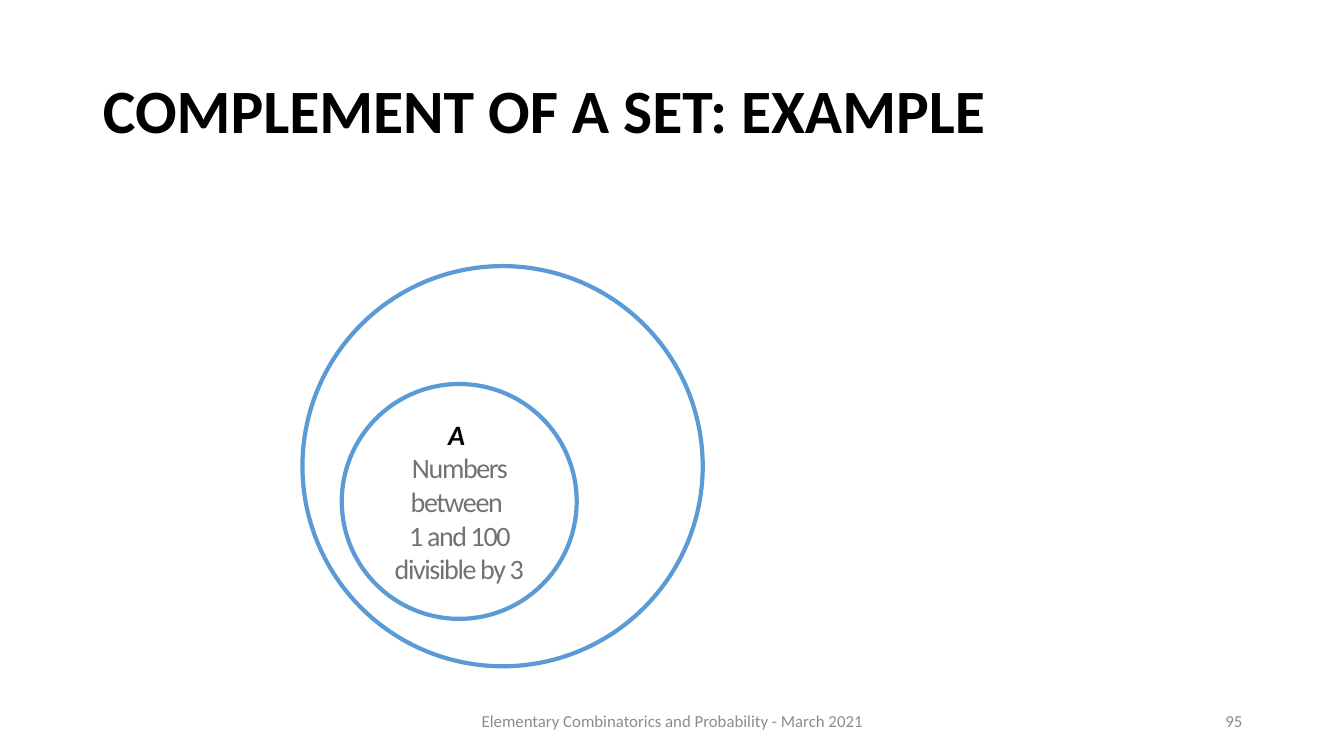
import pptx
import pptx.dml.color
import pptx.enum.shapes
import pptx.enum.text
import pptx.util

ALIGN = pptx.enum.text.PP_ALIGN


def color(hex_value):
    return pptx.dml.color.RGBColor.from_string(hex_value)


class SetSlide:
    """Draws the elements of one slide in a shared style, measured at 100 px to the inch."""

    PX = 9144
    FONT = "Calibri"
    BLACK, GREY, FOOTER, OUTLINE = "000000", "767171", "8C8C8C", "5B9BD5"

    def __init__(self, deck):
        deck.slide_width, deck.slide_height = self.emu(1333, 750)
        self.slide = deck.slides.add_slide(deck.slide_layouts[5])

    def emu(self, *lengths):
        return [pptx.util.Emu(length * self.PX) for length in lengths]

    def fill_paragraph(self, paragraph, text, align, hex_value, spacing=None, **font_format):
        paragraph.text = text
        paragraph.alignment = align
        for run in paragraph.runs:
            for name, value in {"name": self.FONT, **font_format}.items():
                setattr(run.font, name, value)
            run.font.color.rgb = color(hex_value)
            if spacing is not None:
                run._r.get_or_add_rPr().set("spc", str(spacing))

    def prepare(self, frame):
        frame_format = {
            "word_wrap": True,
            "auto_size": pptx.enum.text.MSO_AUTO_SIZE.NONE,
            "vertical_anchor": pptx.enum.text.MSO_ANCHOR.MIDDLE,
        }
        for name, value in frame_format.items():
            setattr(frame, name, value)
        return frame

    def title(self, text, *box):
        heading = self.slide.shapes.title
        for name, value in zip(("left", "top", "width", "height"), self.emu(*box)):
            setattr(heading, name, value)
        paragraph = self.prepare(heading.text_frame).paragraphs[0]
        self.fill_paragraph(paragraph, text, ALIGN.LEFT, self.BLACK,
                            size=pptx.util.Pt(44), bold=True)
        paragraph.line_spacing = 0.9

    def footer(self, text, align, *box):
        note = self.slide.shapes.add_textbox(*self.emu(*box))
        paragraph = self.prepare(note.text_frame).paragraphs[0]
        self.fill_paragraph(paragraph, text, align, self.FOOTER, size=pptx.util.Pt(12))

    def circle(self, left, top, diameter, fill=None):
        ring = self.slide.shapes.add_shape(
            pptx.enum.shapes.MSO_SHAPE.OVAL, *self.emu(left, top, diameter, diameter))
        ring.shadow.inherit = False
        if fill:
            ring.fill.solid()
            ring.fill.fore_color.rgb = color(fill)
        else:
            ring.fill.background()
        ring.line.color.rgb = color(self.OUTLINE)
        ring.line.width = pptx.util.Pt(3)
        return ring

    def named_set(self, name, description, left, top, diameter):
        frame = self.prepare(self.circle(left, top, diameter, "FFFFFF").text_frame)
        label_format = {"size": pptx.util.Pt(20), "spacing": -100}
        self.fill_paragraph(frame.paragraphs[0], name, ALIGN.CENTER, self.BLACK,
                            bold=True, italic=True, **label_format)
        self.fill_paragraph(frame.add_paragraph(), description, ALIGN.CENTER, self.GREY,
                            **label_format)


def main():
    deck = pptx.Presentation()
    example = SetSlide(deck)
    example.title("COMPLEMENT OF A SET: EXAMPLE", 92, 40, 1150, 145)
    example.footer("Elementary Combinatorics and Probability - March 2021",
                   ALIGN.CENTER, 442, 695, 450, 40)
    example.footer("95", ALIGN.RIGHT, 942, 695, 300, 40)
    example.circle(300, 264, 397)
    example.named_set("A ", "Numbers between \v1 and 100 divisible by 3", 339, 381, 233)
    deck.save("out.pptx")


if __name__ == "__main__":
    main()
